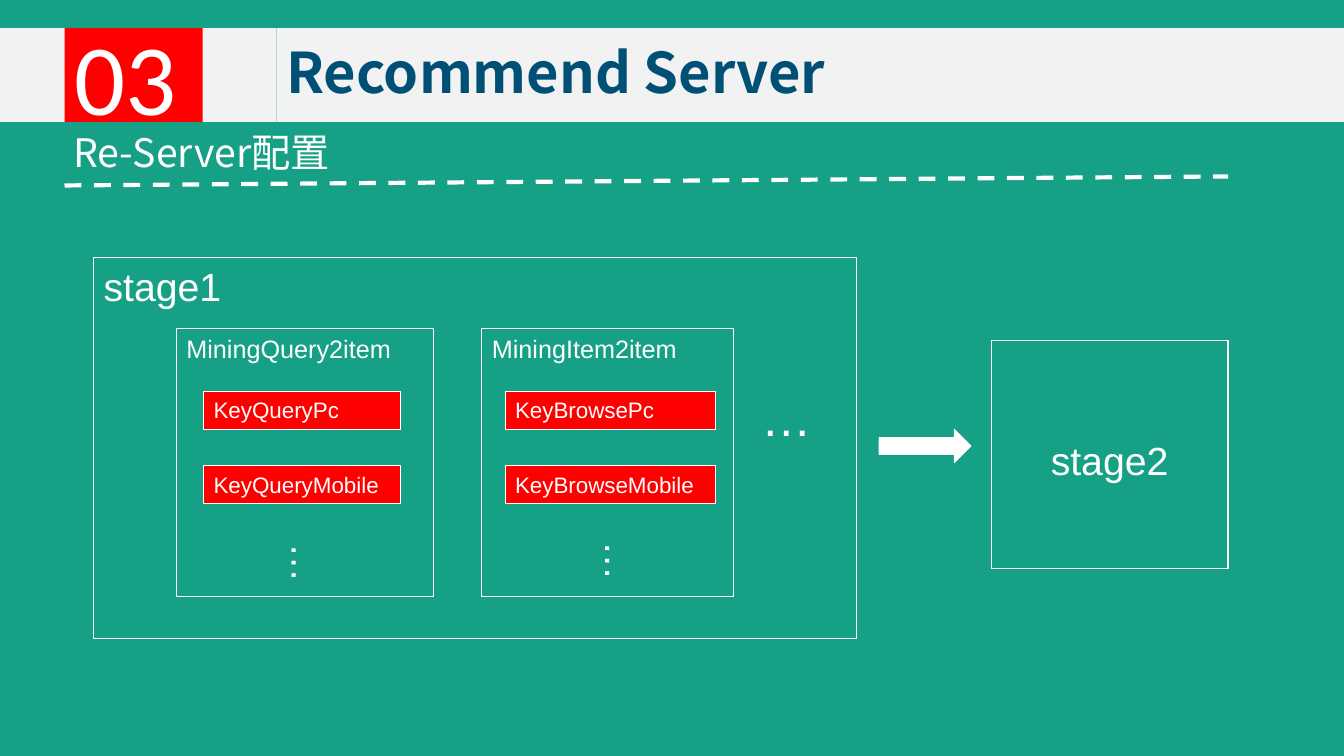
from lxml.etree import SubElement as Sub
from pptx import Presentation
from pptx.dml.color import RGBColor as Rgb
from pptx.enum.dml import MSO_LINE as Dash
from pptx.enum.shapes import MSO_CONNECTOR as Conn, MSO_SHAPE as Kind
from pptx.enum.text import MSO_ANCHOR as Anchor, MSO_AUTO_SIZE as Auto, PP_ALIGN as Align
from pptx.oxml.ns import qn
from pptx.util import Pt

PX = 9144  # 100 px to the inch
COLORS = {"green": "16A085", "band": "F2F2F2", "red": "FF0000",
          "white": "FFFFFF", "navy": "005076"}
SANS, CJK = "Arial", "Noto Sans CJK SC"


def tint(name):
    return Rgb.from_string(COLORS[name])


def scale(*nums):
    return [num * PX for num in nums]


def write(shape, text, size, face=SANS, color="white", bold=False,
          align=Align.LEFT, anchor=Anchor.TOP, grow=False):
    frame = shape.text_frame
    frame.word_wrap = True
    frame.vertical_anchor = anchor
    frame.auto_size = Auto.SHAPE_TO_FIT_TEXT if grow else Auto.NONE
    para = frame.paragraphs[0]
    para.alignment = align
    run = para.add_run()
    run.text = text
    font = para.font
    font.size, font.name, font.bold = Pt(size), face, bold
    font.color.rgb = tint(color)
    # East Asian letters take the same face
    Sub(run.font._element, qn("a:ea"), typeface=face)
    return para


def block(slide, box, fill=None, line=None, kind=Kind.RECTANGLE):
    shape = slide.shapes.add_shape(kind, *scale(*box))
    shape.shadow.inherit = False
    if fill:
        shape.fill.solid()
        shape.fill.fore_color.rgb = tint(fill)
    else:
        shape.fill.background()
    if line:
        shape.line.color.rgb = tint(line)
        shape.line.width = Pt(0.75)
    else:
        shape.line.fill.background()
    return shape


def label(slide, box, text, size, face=SANS, align=Align.LEFT, upright=False):
    shape = slide.shapes.add_textbox(*scale(*box))
    write(shape, text, size, face, align=align, grow=True)
    if upright:
        shape.text_frame._txBody.bodyPr.set("vert", "eaVert")


def header(slide, box):
    x, y, w, h = box
    split = 274
    # Title band with its number
    block(slide, (x, y, split, h), "band")
    number = block(slide, (x + 64, y, 137, h), "red")
    write(number, "03", 72, "Calibri", anchor=Anchor.MIDDLE)
    title = block(slide, (x + split, y, w - split, h), "band")
    para = write(title, "Recommend Server", 40, CJK, "navy", True,
                 anchor=Anchor.MIDDLE)
    para.line_spacing = 0.9
    # Subtitle and dashed rule
    label(slide, (x + 63, y + 94, 430, 57), "Re-Server配置", 28, CJK)
    rule = slide.shapes.add_connector(
        Conn.STRAIGHT, *scale(x + 64, y + 156, x + 1218, y + 147))
    rule.line.color.rgb = tint("white")
    rule.line.width = Pt(3)
    rule.line.dash_style = Dash.DASH
    Sub(rule._element.spPr, qn("a:effectLst"))


def miner(slide, box, name, keys, inset, width, dots, align):
    x, y, w, h = box
    write(block(slide, box, line="white"), name, 18)
    for row, key in enumerate(keys):
        place = (x + inset, y + 62 + row * 74, width, 38)
        write(block(slide, place, "red", "white"), key, 16, grow=True)
    dx, dy = dots
    label(slide, (x + dx, y + dy, 67, 49), "…", 28, align=align, upright=True)


def first(slide, box):
    x, y, w, h = box
    write(block(slide, box, line="white"), "stage1", 28)
    top = y + 71
    miner(slide, (x + 82, top, 255, 266), "MiningQuery2item",
          ("KeyQueryPc", "KeyQueryMobile"), 27, 195, (91, 203), Align.LEFT)
    miner(slide, (x + 385, top, 250, 266), "MiningItem2item",
          ("KeyBrowsePc", "KeyBrowseMobile"), 23, 209, (99, 201), Align.CENTER)
    label(slide, (x + 652, y + 123, 127, 72), "…", 36)


def second(slide, box):
    x, y, w, h = box
    stage = block(slide, box, line="white")
    write(stage, "stage2", 28, align=Align.CENTER)
    stage.text_frame.margin_top = 95 * PX
    # Arrow leading in from the first stage
    block(slide, (x - 111, y + 88, 91, 33), "white", "white", Kind.RIGHT_ARROW)


def main():
    deck = Presentation()
    deck.slide_width, deck.slide_height = scale(1333, 750)
    slide = deck.slides.add_slide(deck.slide_layouts[6])
    slide.background.fill.solid()
    slide.background.fill.fore_color.rgb = tint("green")
    header(slide, (0, 28, 1333, 93))
    first(slide, (93, 255, 757, 378))
    second(slide, (983, 338, 235, 226))
    deck.save("out.pptx")


if __name__ == "__main__":
    main()
